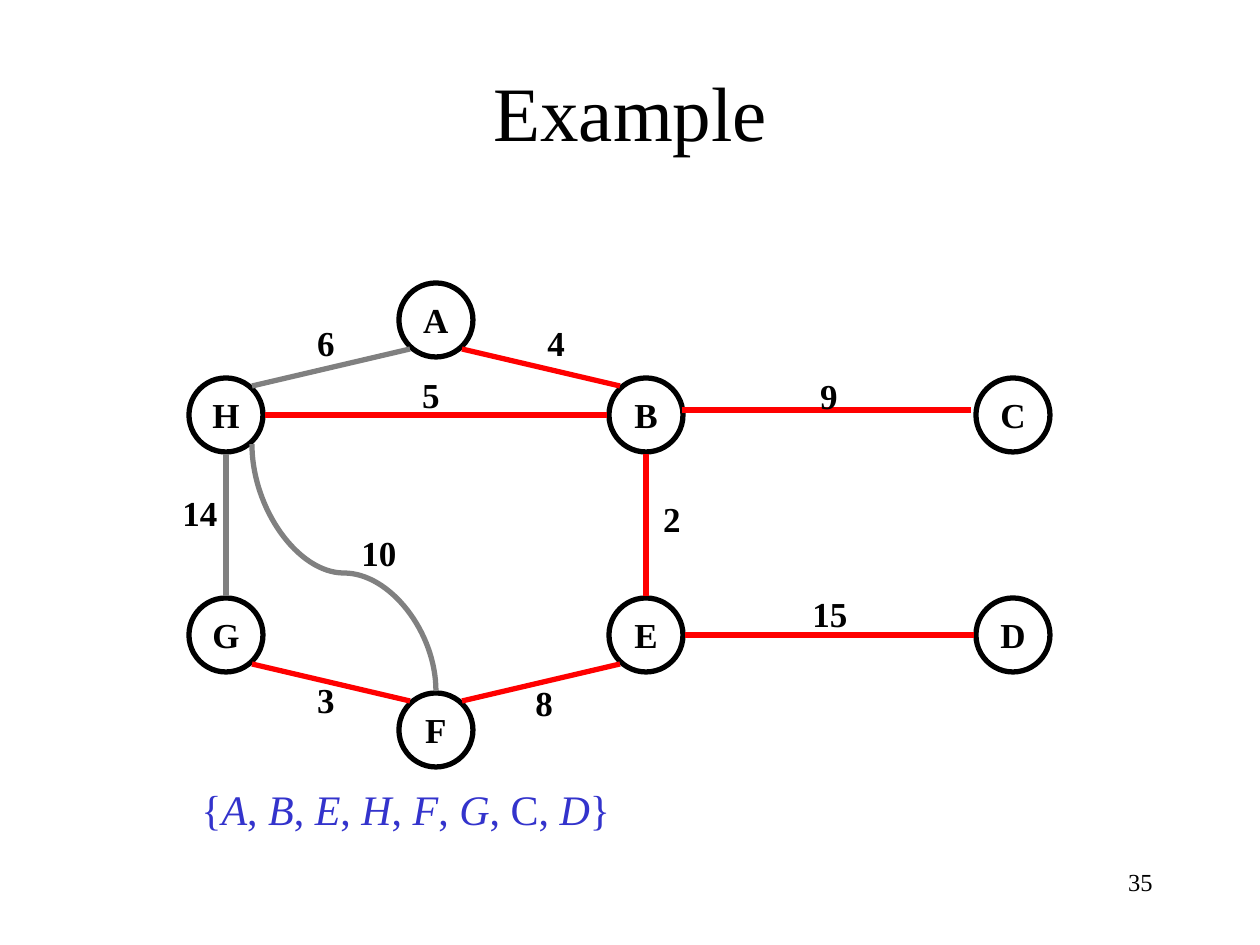
from lxml.etree import SubElement
from pptx import Presentation
from pptx.dml.color import RGBColor
from pptx.enum.shapes import MSO_CONNECTOR as Link, MSO_SHAPE as Preset
from pptx.enum.text import MSO_ANCHOR as Anchor, MSO_AUTO_SIZE as AutoSize, PP_ALIGN as Align
from pptx.oxml.ns import qn
from pptx.util import Pt

PX = 914400 / 126
FONT = "Times New Roman"
BLACK, GRAY, RED, BLUE = "000000", "808080", "FF0000", "3333CC"
DIAMETER = 74
REACH = 39           # from a node's centre to the end of a straight edge
CORNER = (26, 29)    # the same for a slanted edge
GRAPH_BOX = (189, 283)

# Node centres, edges and weights, relative to the graph box
NODES = {
    "H": (37, 132), "B": (457, 132), "C": (824, 132),
    "G": (37, 352), "E": (457, 352), "D": (824, 352),
    "F": (247, 447), "A": (247, 37),
}
EDGES = [
    ("A", "B", RED), ("A", "H", GRAY), ("H", "B", RED), ("G", "H", GRAY), ("G", "F", RED),
    ("F", "E", RED), ("E", "B", RED), ("B", "C", RED), ("E", "D", RED),
]
NUDGES = {("B", "C"): (-3, -5)}
WEIGHTS = [
    ("14", 11, 229), ("10", 190, 269), ("3", 137, 416), ("6", 137, 59), ("4", 367, 59),
    ("5", 242, 111), ("2", 483, 235), ("9", 640, 112), ("15", 641, 330), ("8", 355, 419),
]
VISITED = ["{", "A", ", ", "B", ", ", "E", ", ", "H", ", ", "F", ", ", "G", ", C, ", "D", "}"]


def emu(*lengths):
    return [round(length * PX) for length in lengths]


def color(hex_code):
    return RGBColor.from_string(hex_code)


def style(run, size, hex_code=BLACK, bold=False, italic=False):
    font = run.font
    font.name, font.size, font.bold, font.italic = FONT, Pt(size), bold, italic
    font.color.rgb = color(hex_code)


def fill_text(shape, text, size, align, bold=False, wrap=False, anchor=Anchor.MIDDLE):
    frame = shape.text_frame
    frame.word_wrap, frame.vertical_anchor = wrap, anchor
    paragraph = frame.paragraphs[0]
    paragraph.text = text
    paragraph.alignment = align
    style(paragraph.runs[0], size, bold=bold)


def add_title(slide, box):
    fill_text(slide.shapes.add_textbox(*emu(*box)), "Example", 44, Align.CENTER, wrap=True)


def add_page_number(slide, box):
    fill_text(slide.shapes.add_textbox(*emu(*box)), "35", 14, Align.RIGHT,
              wrap=True, anchor=Anchor.TOP)


def add_node(slide, name, x, y):
    radius = DIAMETER / 2
    node = slide.shapes.add_shape(
        Preset.OVAL, *emu(x - radius, y - radius, DIAMETER, DIAMETER))
    node.shadow.inherit = False
    node.fill.background()
    node.line.color.rgb = color(BLACK)
    node.line.width = Pt(3)
    fill_text(node, name, 20, Align.CENTER, bold=True)


def add_line(slide, kind, start, end, hex_code):
    line = slide.shapes.add_connector(kind, *emu(*start, *end))
    line.line.color.rgb = color(hex_code)
    line.line.width = Pt(3)
    SubElement(line._element.spPr, qn("a:effectLst"))
    return line


def edge_ends(start, end):
    """Trim the line between two node centres to the rims of the nodes."""
    dx, dy = (to - of for of, to in zip(start, end))
    reach_x, reach_y = CORNER if dx and dy else (REACH, REACH)
    step_x = reach_x * ((dx > 0) - (dx < 0))
    step_y = reach_y * ((dy > 0) - (dy < 0))
    return (start[0] + step_x, start[1] + step_y), (end[0] - step_x, end[1] - step_y)


def add_curve(slide, start, end):
    """Draw an S curve that leaves and arrives vertically: a flipped one turned by 90°."""
    mid_x, mid_y = (start[0] + end[0]) / 2, (start[1] + end[1]) / 2
    half_long, half_short = abs(start[1] - end[1]) / 2, abs(start[0] - end[0]) / 2
    curve = add_line(slide, Link.CURVE, (mid_x + half_long, mid_y - half_short),
                     (mid_x - half_long, mid_y + half_short), GRAY)
    properties = curve._element.spPr
    properties.find(qn("a:xfrm")).set("rot", "5400000")
    adjustments = properties.find(qn("a:prstGeom")).find(qn("a:avLst"))
    SubElement(adjustments, qn("a:gd"), name="adj1", fmla="val 47800")


def add_weight(slide, weight, x, y):
    width, height = 26 + 17 * len(weight), 54
    label = slide.shapes.add_textbox(*emu(x - width / 2, y - height / 2, width, height))
    fill_text(label, weight, 20, Align.CENTER, bold=True, anchor=Anchor.TOP)
    label.text_frame.auto_size = AutoSize.SHAPE_TO_FIT_TEXT


def add_graph(slide, left, top):
    centers = {name: (left + x, top + y) for name, (x, y) in NODES.items()}
    for name, center in centers.items():
        add_node(slide, name, *center)
    for first, second, hex_code in EDGES:
        nudge_x, nudge_y = NUDGES.get((first, second), (0, 0))
        start, end = [(x + nudge_x, y + nudge_y)
                      for x, y in edge_ends(centers[first], centers[second])]
        add_line(slide, Link.STRAIGHT, start, end, hex_code)
    (f_x, f_y), (h_x, h_y) = centers["F"], centers["H"]
    add_curve(slide, (f_x, f_y - REACH), (h_x + CORNER[0], h_y + CORNER[1]))
    for weight, x, y in WEIGHTS:
        add_weight(slide, weight, left + x, top + y)


def add_visited(slide, box):
    frame = slide.shapes.add_textbox(*emu(*box)).text_frame
    frame.word_wrap = False
    frame.auto_size = AutoSize.SHAPE_TO_FIT_TEXT
    for part in VISITED:
        run = frame.paragraphs[0].add_run()
        run.text = part
        style(run, 24, BLUE, italic=part.isalpha())


def main():
    deck = Presentation()
    deck.slide_width, deck.slide_height = emu(1260, 945)
    slide = deck.slides.add_slide(deck.slide_layouts[6])
    add_page_number(slide, (903, 861, 262, 63))
    add_title(slide, (95, 32, 1071, 157))
    add_graph(slide, *GRAPH_BOX)
    add_visited(slide, (189, 777, 435, 63))
    deck.save("out.pptx")


if __name__ == "__main__":
    main()
